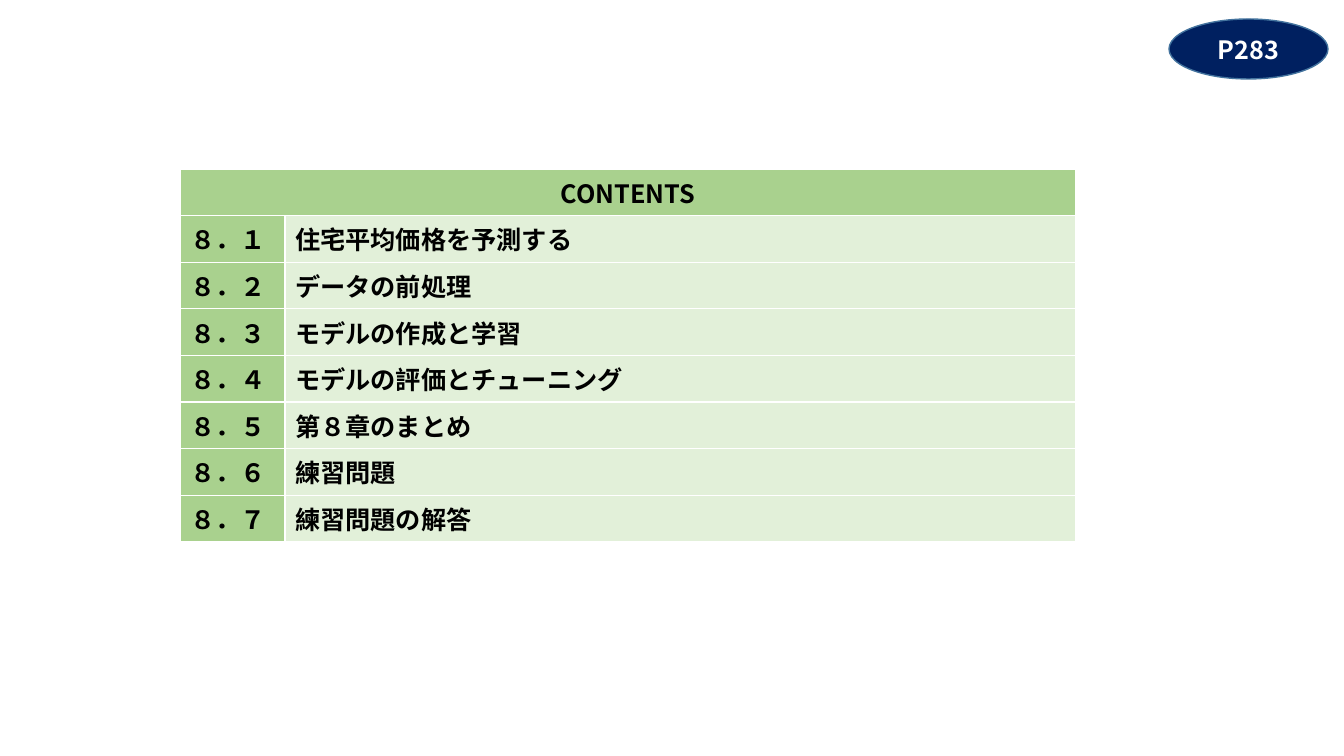
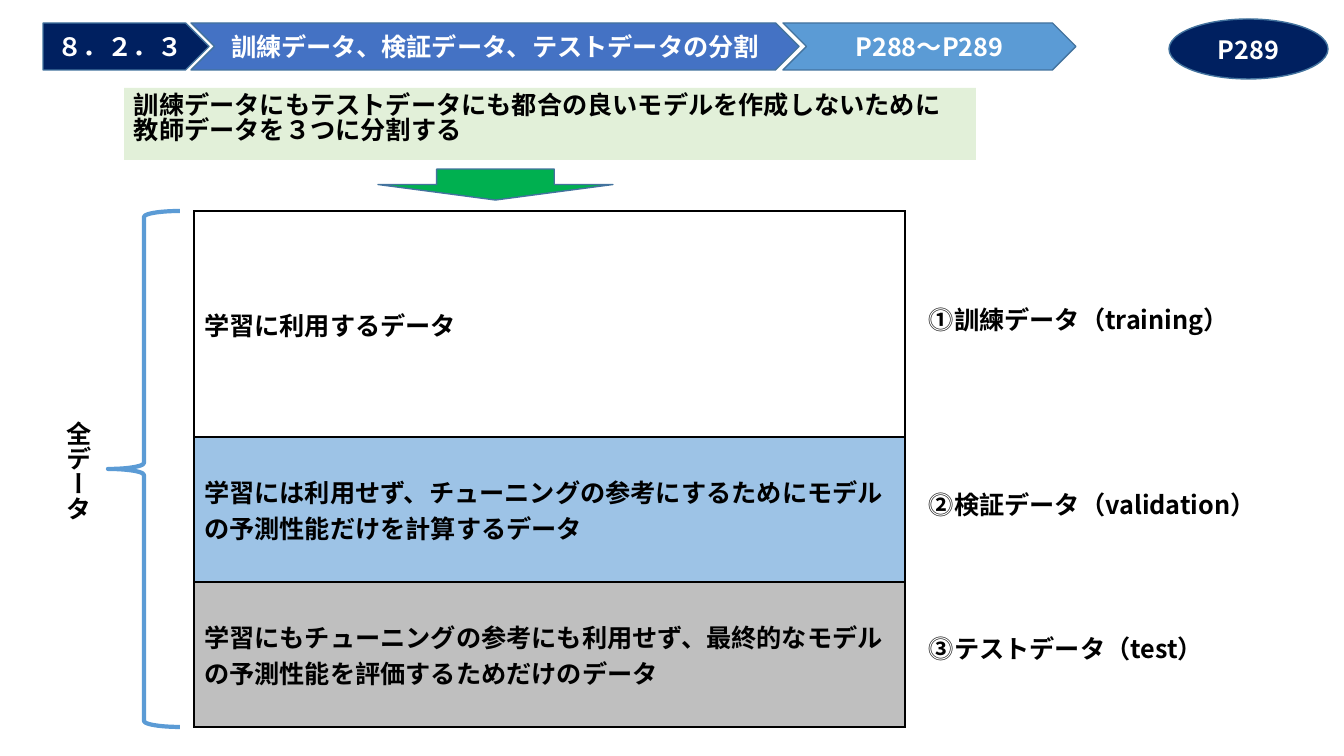
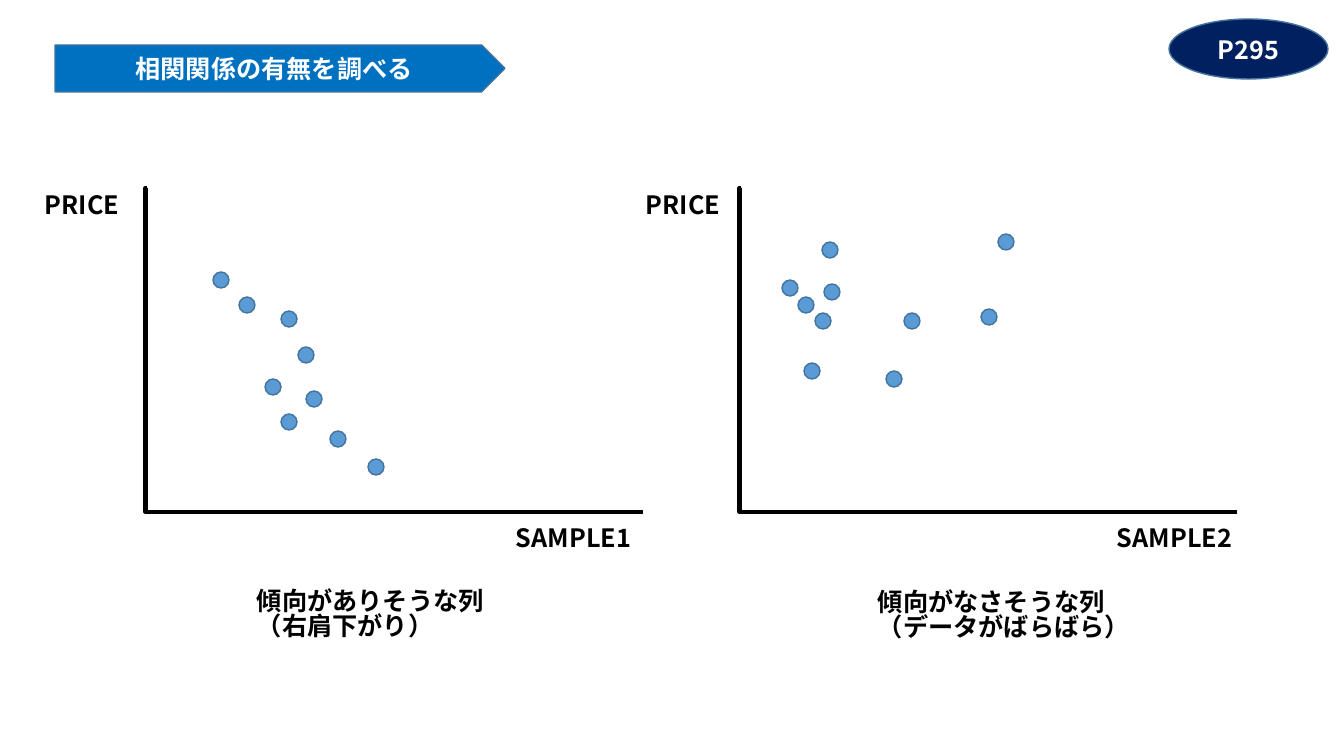
from lxml import etree
from pptx import Presentation
from pptx.dml.color import RGBColor
from pptx.enum.shapes import MSO_CONNECTOR, MSO_SHAPE
from pptx.enum.text import MSO_ANCHOR, MSO_AUTO_SIZE, PP_ALIGN
from pptx.oxml.ns import qn
from pptx.util import Emu, Pt

LEFT, CENTER = PP_ALIGN.LEFT, PP_ALIGN.CENTER
TOP, MIDDLE = MSO_ANCHOR.TOP, MSO_ANCHOR.MIDDLE
NO_FIT = MSO_AUTO_SIZE.NONE
ELBOW = MSO_CONNECTOR.ELBOW
PENTAGON, CHEVRON = MSO_SHAPE.PENTAGON, MSO_SHAPE.CHEVRON
OVAL, DOT = MSO_SHAPE.OVAL, MSO_SHAPE.FLOWCHART_CONNECTOR
RECTANGLE, BRACE = MSO_SHAPE.RECTANGLE, MSO_SHAPE.LEFT_BRACE
DOWN_ARROW = MSO_SHAPE.DOWN_ARROW

SCALE = 12192000 / 1344  # EMU per pixel
FONT = "Noto Sans CJK JP"
COLORS = {
    "black": "000000", "white": "FFFFFF", "navy": "002060", "outline": "43739E",
    "blue": "4472C4", "sky": "5B9BD5", "azure": "0070C0", "pale_blue": "9DC3E6",
    "gray": "BFBFBF", "green": "A9D18E", "pale_green": "E2F0D9", "arrow": "00B050",
}
RGB = {name: RGBColor.from_string(value) for name, value in COLORS.items()}
LABEL = {"color": "black", "align": LEFT, "anchor": TOP, "spacing": 0.82}
BAND = {"color": "white", "align": CENTER, "anchor": MIDDLE, "spacing": 1.0}


def write_text(frame, text, style):
    frame.word_wrap = True
    frame.vertical_anchor = style["anchor"]
    if style is LABEL:
        frame.margin_top = px(7)
    for index, line in enumerate(text.split("\n")):
        para = frame.paragraphs[0] if index == 0 else frame.add_paragraph()
        para.alignment = style["align"]
        para.line_spacing = style["spacing"]
        span = para.add_run()
        span.text = line
        for name, value in {"name": FONT, "size": Pt(18), "bold": True}.items():
            setattr(span.font, name, value)
        span.font.color.rgb = RGB[style["color"]]
        etree.SubElement(span.font._element, qn("a:ea"), typeface=FONT)


def add_box(page, preset, place, fill=None, line=None, weight=1, text="", style=BAND):
    place = [px(value) for value in place]
    if preset is None:
        box = page.shapes.add_textbox(*place)
    else:
        box = page.shapes.add_shape(preset, *place)
        box.shadow.inherit = False
        if fill:
            box.fill.solid()
            box.fill.fore_color.rgb = RGB[fill]
        else:
            box.fill.background()
        if line:
            box.line.color.rgb = RGB[line]
            box.line.width = Pt(weight)
        else:
            box.line.fill.background()
    if text:
        write_text(box.text_frame, text, style)
    return box


px = lambda value: Emu(round(value * SCALE))

deck = Presentation()
deck.slide_width, deck.slide_height = px(1344), px(756)
title_only, blank = deck.slide_layouts[5], deck.slide_layouts[6]
contents_page = deck.slides.add_slide(blank)
split_page = deck.slides.add_slide(title_only)
trend_page = deck.slides.add_slide(title_only)

# Contents table
chapters = ["住宅平均価格を予測する", "データの前処理", "モデルの作成と学習",
            "モデルの評価とチューニング", "第８章のまとめ", "練習問題", "練習問題の解答"]
contents = contents_page.shapes.add_table(
    8, 2, px(180), px(169), px(896), px(328)).table
contents.columns[0].width, contents.columns[1].width = px(105), px(791)
contents.cell(0, 0).merge(contents.cell(0, 1))
write_text(contents.cell(0, 0).text_frame, "CONTENTS", {**BAND, "color": "black"})
table_label = {**LABEL, "spacing": 1.0}
for number, chapter in enumerate(chapters, 1):
    wide_number = chr(ord("０") + number)
    for column, text in enumerate(["８．" + wide_number, chapter]):
        write_text(contents.cell(number, column).text_frame, text, table_label)
contents_fills = [["green", "green"]] + [["green", "pale_green"]] * len(chapters)

# Data split table with its labels
parts = [
    (226, "white", "学習に利用するデータ", 303, "⓵訓練データ（training）"),
    (145, "pale_blue", "学習には利用せず、チューニングの参考にするためにモデルの予測性能だけを計算するデータ",
     488, "⓶検証データ（validation）"),
    (145, "gray", "学習にもチューニングの参考にも利用せず、最終的なモデルの予測性能を評価するためだけのデータ",
     632, "⓷テストデータ（test）"),
]
split = split_page.shapes.add_table(3, 1, px(194), px(211), px(711), px(516)).table
for row, (height, fill, purpose, label_top, label) in enumerate(parts):
    split.rows[row].height = px(height)
    write_text(split.cell(row, 0).text_frame, purpose, table_label)
    split.cell(row, 0).vertical_anchor = MIDDLE
    add_box(split_page, None, (919, label_top, 368, 41), text=label, style=LABEL)
split_fills = [[part[1]] for part in parts]

# Fills and borders of both tables
for table, fills, border in [(contents, contents_fills, "white"),
                             (split, split_fills, "black")]:
    table.first_row = table.horz_banding = False
    for row, row_fills in enumerate(fills):
        for column, fill in enumerate(row_fills):
            cell = table.cell(row, column)
            properties = cell._tc.get_or_add_tcPr()
            for side in ("a:lnL", "a:lnR", "a:lnT", "a:lnB"):
                edge = etree.SubElement(properties, qn(side), w=str(Pt(1)))
                paint = etree.SubElement(edge, qn("a:solidFill"))
                etree.SubElement(paint, qn("a:srgbClr"), val=COLORS[border])
            cell.fill.solid()
            cell.fill.fore_color.rgb = RGB[fill]

# Brace around all data
add_box(split_page, BRACE, (108, 211, 72, 516), line="sky", weight=3)
all_data = add_box(split_page, None, (42, 414, 51, 218), text="全データ", style=LABEL)
all_data.text_frame._txBody.bodyPr.set("vert", "eaVert")

# Section band, reason and arrow
add_box(split_page, PENTAGON, (43, 23, 166, 47), "navy", "outline", text="８．２．３")
split_band = add_box(split_page, CHEVRON, (191, 23, 608, 47), "blue", "outline")
add_box(split_page, CHEVRON, (783, 23, 293, 47), "sky", "outline", text="P288～P289")
add_box(split_page, RECTANGLE, (124, 88, 852, 72), "pale_green", style=LABEL,
        text="訓練データにもテストデータにも都合の良いモデルを作成しないために\n教師データを３つに分割する")
add_box(split_page, DOWN_ARROW, (378, 169, 235, 31), "arrow", "outline")

# Two scatter sketches: axes, labels, dots
sketches = [
    (147, 35, "SAMPLE1", 506, (247, 584), "傾向がありそうな列\n（右肩下がり）",
     [(221, 280), (247, 305), (289, 319), (306, 355), (314, 399), (273, 387),
      (289, 422), (338, 439), (376, 467)]),
    (741, 636, "SAMPLE2", 1107, (868, 585), "傾向がなさそうな列\n（データがばらばら）",
     [(830, 250), (790, 288), (832, 292), (812, 371), (894, 379), (989, 317),
      (1006, 242), (912, 321), (806, 305), (823, 321)]),
]
for axis_left, price_left, sample, sample_left, caption_at, caption, dots in sketches:
    axes = trend_page.shapes.add_connector(
        ELBOW, px(axis_left), px(188), px(axis_left + 496), px(512))
    axes.line.color.rgb = RGB["black"]
    axes.line.width = Pt(3)
    shape_properties = axes._element.spPr
    bend = shape_properties.find(qn("a:prstGeom")).find(qn("a:avLst"))
    etree.SubElement(bend, qn("a:gd"), name="adj1", fmla="val -300")
    etree.SubElement(shape_properties, qn("a:effectLst"))
    for place, text in [((price_left, 188, 276, 41), "PRICE"),
                        ((sample_left, 521, 276, 41), sample),
                        ((*caption_at, 276, 72), caption)]:
        add_box(trend_page, None, place, text=text, style=LABEL)
    for x, y in dots:
        add_box(trend_page, DOT, (x - 8, y - 8, 16, 16), "sky", "outline")

trend_band = add_box(trend_page, PENTAGON, (55, 45, 450, 47), "azure", "outline")

# Titles on their bands
for page, band, place, text in [
        (split_page, split_band, (191, 23, 608, 47), "訓練データ、検証データ、テストデータの分割"),
        (trend_page, trend_band, (55, 45, 438, 47), "相関関係の有無を調べる")]:
    title = page.shapes.title
    for name, value in zip(("left", "top", "width", "height"), place):
        setattr(title, name, px(value))
    title.text_frame.auto_size = NO_FIT
    write_text(title.text_frame, text, BAND)
    band.element.addnext(title.element)

# Page badges
for page, number in [(contents_page, "P283"), (split_page, "P289"), (trend_page, "P295")]:
    add_box(page, OVAL, (1169, 19, 159, 60), "navy", "outline", text=number)

deck.save("out.pptx")
